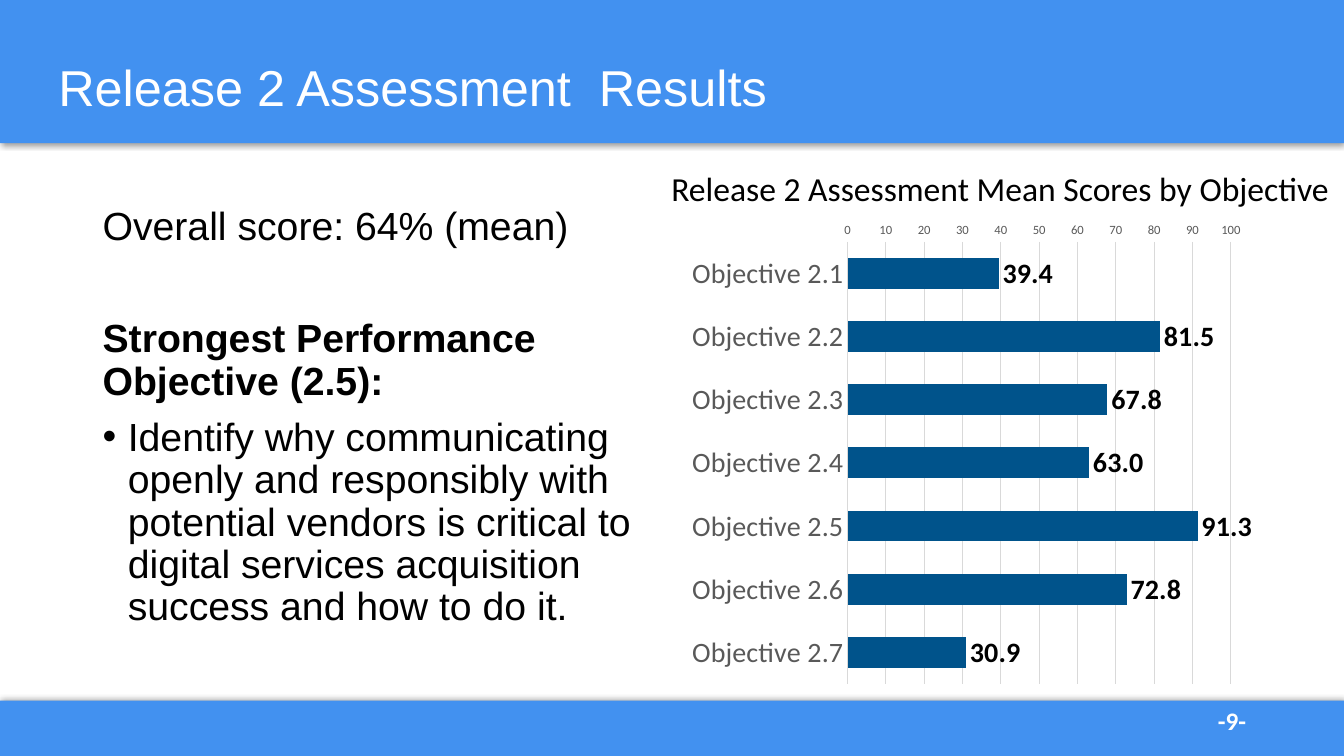
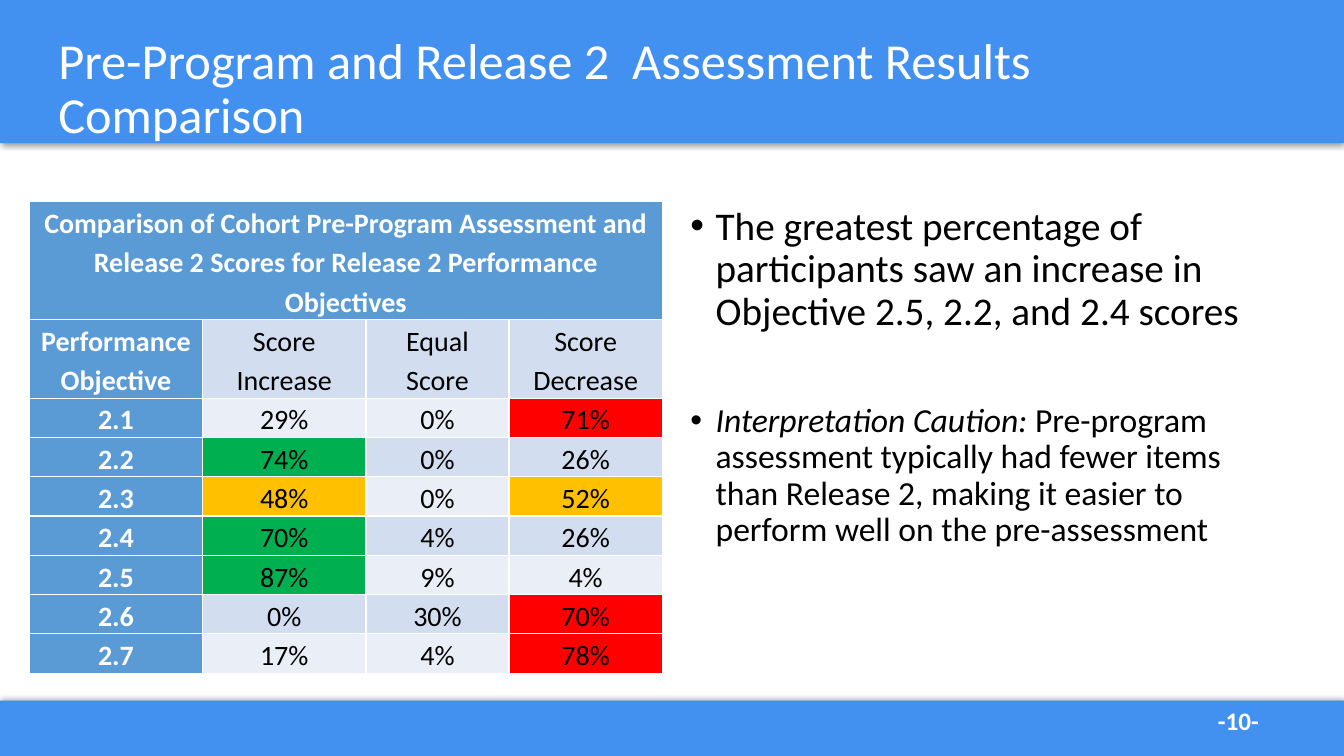
from lxml import etree
from pptx import Presentation
from pptx.chart.data import CategoryChartData
from pptx.dml.color import RGBColor
from pptx.enum.chart import XL_AXIS_CROSSES, XL_CHART_TYPE, XL_LABEL_POSITION, XL_TICK_MARK
from pptx.enum.shapes import MSO_SHAPE
from pptx.enum.text import MSO_ANCHOR, PP_ALIGN
from pptx.oxml import parse_xml
from pptx.oxml.ns import nsdecls, qn
from pptx.util import Pt

RECTANGLE = MSO_SHAPE.RECTANGLE
MIDDLE, BOTTOM = MSO_ANCHOR.MIDDLE, MSO_ANCHOR.BOTTOM
CENTER = PP_ALIGN.CENTER
BAR = XL_CHART_TYPE.BAR_CLUSTERED
OUTSIDE_END = XL_LABEL_POSITION.OUTSIDE_END
NO_TICKS = XL_TICK_MARK.NONE
AXIS_MAXIMUM = XL_AXIS_CROSSES.MAXIMUM

PX = 9144
COLORS = {
    "band": "4291F0", "white": "FFFFFF", "black": "000000",
    "bar": "00538B", "axis": "595959", "grid": "D9D9D9",
    "header": "5B9BD5", "stripe_dark": "D2DEEF", "stripe_light": "EAEFF7",
    "high_increase": "00B050", "high_decrease": "FF0000", "mixed": "FFC000",
}
RGB = {role: RGBColor.from_string(value) for role, value in COLORS.items()}


def text_frame(slide, left, top, width, height, wrap=True, anchor=None):
    box = slide.shapes.add_textbox(left * PX, top * PX, width * PX, height * PX)
    frame = box.text_frame
    frame.word_wrap = wrap
    frame.vertical_anchor = anchor
    return frame


def write(paragraph, text, font="Calibri", size=28, color="black", bold=False,
          italic=False, spacing=0.9, before=0, align=None, bullet=False):
    if bullet:
        properties = paragraph._p.get_or_add_pPr()
        properties.set("marL", str(25 * PX))
        properties.set("indent", str(-25 * PX))
        etree.SubElement(properties, qn("a:buFont")).set("typeface", "Arial")
        etree.SubElement(properties, qn("a:buChar")).set("char", "•")
    paragraph.line_spacing = spacing
    if before:
        paragraph.space_before = Pt(before)
    if align is not None:
        paragraph.alignment = align
    run = paragraph.add_run()
    run.text = text
    run.font.name = font
    run.font.size = Pt(size)
    run.font.bold = bold
    run.font.italic = italic
    run.font.color.rgb = RGB[color]


deck = Presentation()
deck.slide_width, deck.slide_height = 1333 * PX, 750 * PX

pages = [
    (9, "Release 2 Assessment  Results", "Arial"),
    (10, "Pre-Program and Release 2  Assessment Results Comparison", "Calibri"),
]
slides = []
for number, title, title_font in pages:
    slide = deck.slides.add_slide(deck.slide_layouts[6])
    for top, height, shadow_angle in [(695, 55, 270), (0, 142, 90)]:
        band = slide.shapes.add_shape(RECTANGLE, 0, top * PX, deck.slide_width, height * PX)
        band.fill.solid()
        band.fill.fore_color.rgb = RGB["band"]
        band.line.fill.background()
        band._element.spPr.append(parse_xml(
            f'<a:effectLst {nsdecls("a")}>'
            f'<a:outerShdw blurRad="{Pt(4)}" dist="{Pt(1)}" dir="{shadow_angle * 60000}" rotWithShape="0">'
            f'<a:srgbClr val="{COLORS["black"]}"><a:alpha val="40000"/></a:srgbClr>'
            '</a:outerShdw></a:effectLst>'))
    page_number = text_frame(slide, 1198, 695, 98, 40)
    write(page_number.paragraphs[0], f"-{number}-", size=18, color="white", bold=True, spacing=1.0)
    heading = text_frame(slide, 48, 17, 1194, 145, anchor=MIDDLE)
    write(heading.paragraphs[0], title, font=title_font, size=36, color="white")
    slides.append(slide)
results_slide, comparison_slide = slides

summary = text_frame(results_slide, 92, 200, 567, 476)
write(summary.paragraphs[0], "Overall score: 64% (mean)", font="Arial")
write(summary.add_paragraph(), "Strongest Performance Objective (2.5):", font="Arial", bold=True, before=50)
write(summary.add_paragraph(),
      "Identify why communicating openly and responsibly with potential vendors "
      "is critical to digital services acquisition success and how to do it.",
      font="Arial", before=10, bullet=True)

objectives = [f"2.{index}" for index in range(1, 8)]
scores = CategoryChartData(number_format="0.0")
scores.categories = [f"Objective {objective}" for objective in objectives]
scores.add_series("Series 1", [39.4, 81.5, 67.8, 63, 91.3, 72.8, 30.9])
chart = results_slide.shapes.add_chart(BAR, 675 * PX, 212 * PX, 567 * PX, 476 * PX, scores).chart
chart.has_title = False
chart.has_legend = False
chart.font.name = "Calibri"
chart.font.size = Pt(10)
chart.font.color.rgb = RGB["black"]

objective_axis, score_axis = chart.category_axis, chart.value_axis
for axis, size in [(objective_axis, 20), (score_axis, 9)]:
    axis.major_tick_mark = NO_TICKS
    axis.minor_tick_mark = NO_TICKS
    axis.tick_labels.font.name = "Calibri"
    axis.tick_labels.font.size = Pt(size)
    axis.tick_labels.font.color.rgb = RGB["axis"]
objective_axis.reverse_order = True
objective_axis.crosses = AXIS_MAXIMUM
score_axis.minimum_scale, score_axis.maximum_scale = 0, 100
score_axis.major_unit = 10
score_axis.tick_labels.number_format = "0"
score_axis.tick_labels.number_format_is_linked = False
score_axis.format.line.fill.background()
for line in (objective_axis.format.line, score_axis.major_gridlines.format.line):
    line.color.rgb = RGB["grid"]
    line.width = Pt(0.75)

plot = chart.plots[0]
plot.gap_width = 104
plot.vary_by_categories = False
mean_scores = plot.series[0]
mean_scores.format.fill.solid()
mean_scores.format.fill.fore_color.rgb = RGB["bar"]
score_labels = mean_scores.data_labels
score_labels.show_value = True
score_labels.position = OUTSIDE_END
score_labels.number_format = "0.0"
score_labels.number_format_is_linked = False
score_labels.font.name = "Calibri"
score_labels.font.size = Pt(20)
score_labels.font.bold = True
score_labels.font.color.rgb = RGB["black"]

chart_heading = text_frame(results_slide, 656, 162, 677, 50, wrap=False)
write(chart_heading.paragraphs[0], "Release 2 Assessment Mean Scores by Objective", size=24, spacing=1.0)

changes = [(29, 0, 71), (74, 0, 26), (48, 0, 52), (70, 4, 26), (87, 9, 4), (0, 30, 70), (17, 4, 78)]
rows = [
    ["Comparison of Cohort Pre-Program Assessment and Release 2 Scores for Release 2 Performance Objectives"],
    ["Performance Objective", "Score Increase", "Equal Score", "Score Decrease"],
]
for objective, shares in zip(objectives, changes):
    rows.append([objective] + [f"{share}%" for share in shares])

column_widths = [172, 162, 142, 152]
row_heights = [117, 78] + [39] * len(changes)
comparison = comparison_slide.shapes.add_table(
    len(rows), len(column_widths), 29 * PX, 200 * PX,
    sum(column_widths) * PX, sum(row_heights) * PX).table
for column, width in zip(comparison.columns, column_widths):
    column.width = width * PX
for row, height in zip(comparison.rows, row_heights):
    row.height = height * PX
comparison.cell(0, 0).merge(comparison.cell(0, len(column_widths) - 1))

for r, texts in enumerate(rows):
    for c, text in enumerate(texts):
        is_header = c == 0
        is_share = r > 1 and c > 0
        fill = "header" if is_header else "stripe_dark" if r % 2 else "stripe_light"
        if is_share:
            share = changes[r - 2][c - 1]
            if share >= 70:
                fill = "high_increase" if c == 1 else "high_decrease"
            elif share >= 45:
                fill = "mixed"
        cell = comparison.cell(r, c)
        cell.fill.solid()
        cell.fill.fore_color.rgb = RGB[fill]
        cell.margin_left = cell.margin_right = 7 * PX
        cell.margin_top = cell.margin_bottom = 0
        cell.vertical_anchor = BOTTOM if is_share else MIDDLE
        write(cell.text_frame.paragraphs[0], text, size=20, color="white" if is_header else "black",
              bold=is_header, spacing=1.15, align=CENTER)

findings = text_frame(comparison_slide, 675, 200, 567, 476)
write(findings.paragraphs[0],
      "The greatest percentage of participants saw an increase in Objective 2.5, 2.2, and 2.4 scores",
      bullet=True)
caution = findings.add_paragraph()
write(caution, "Interpretation Caution: ", size=24, italic=True, before=50, bullet=True)
write(caution,
      "Pre-program assessment typically had fewer items than Release 2, "
      "making it easier to perform well on the pre-assessment", size=24)

deck.save("out.pptx")
